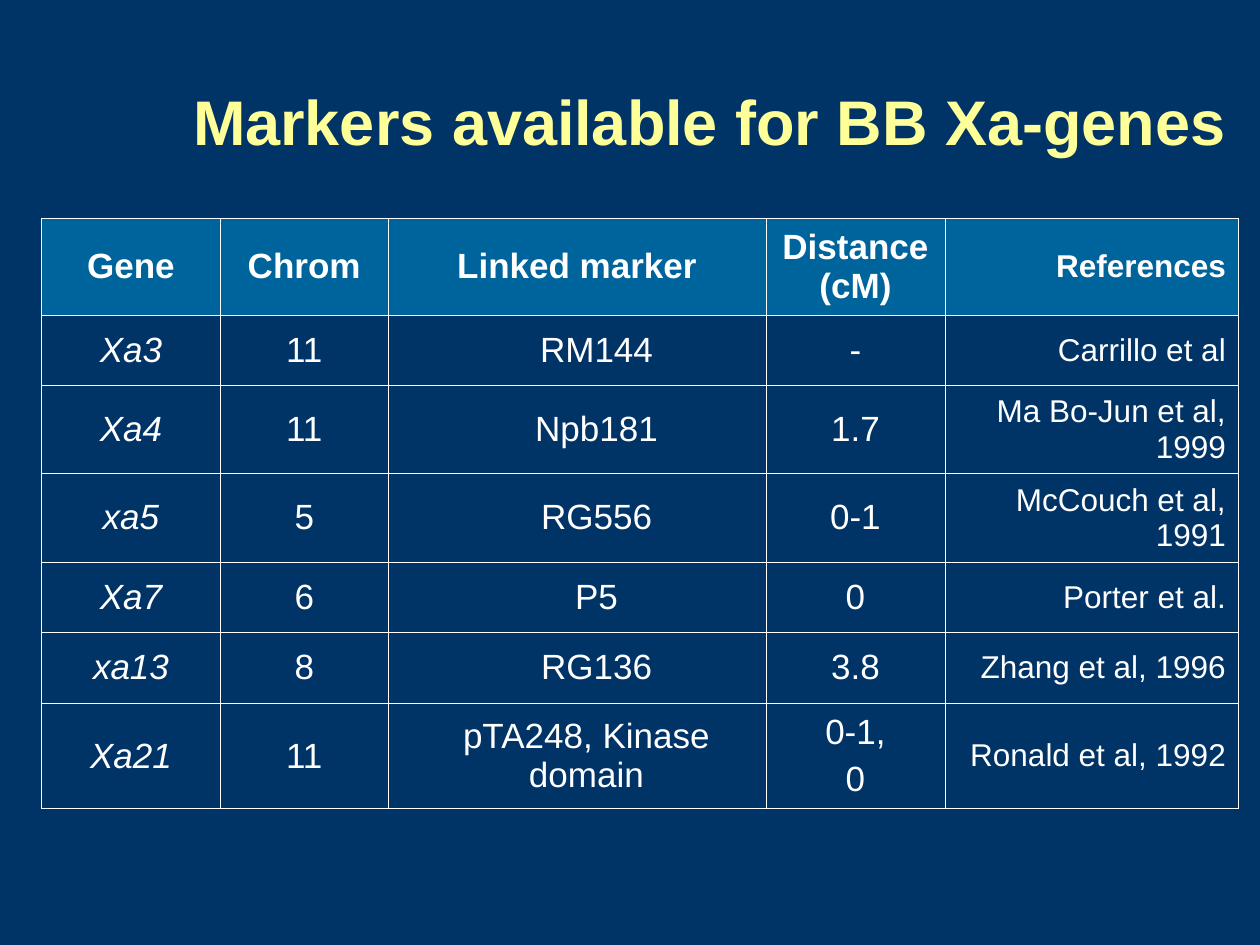
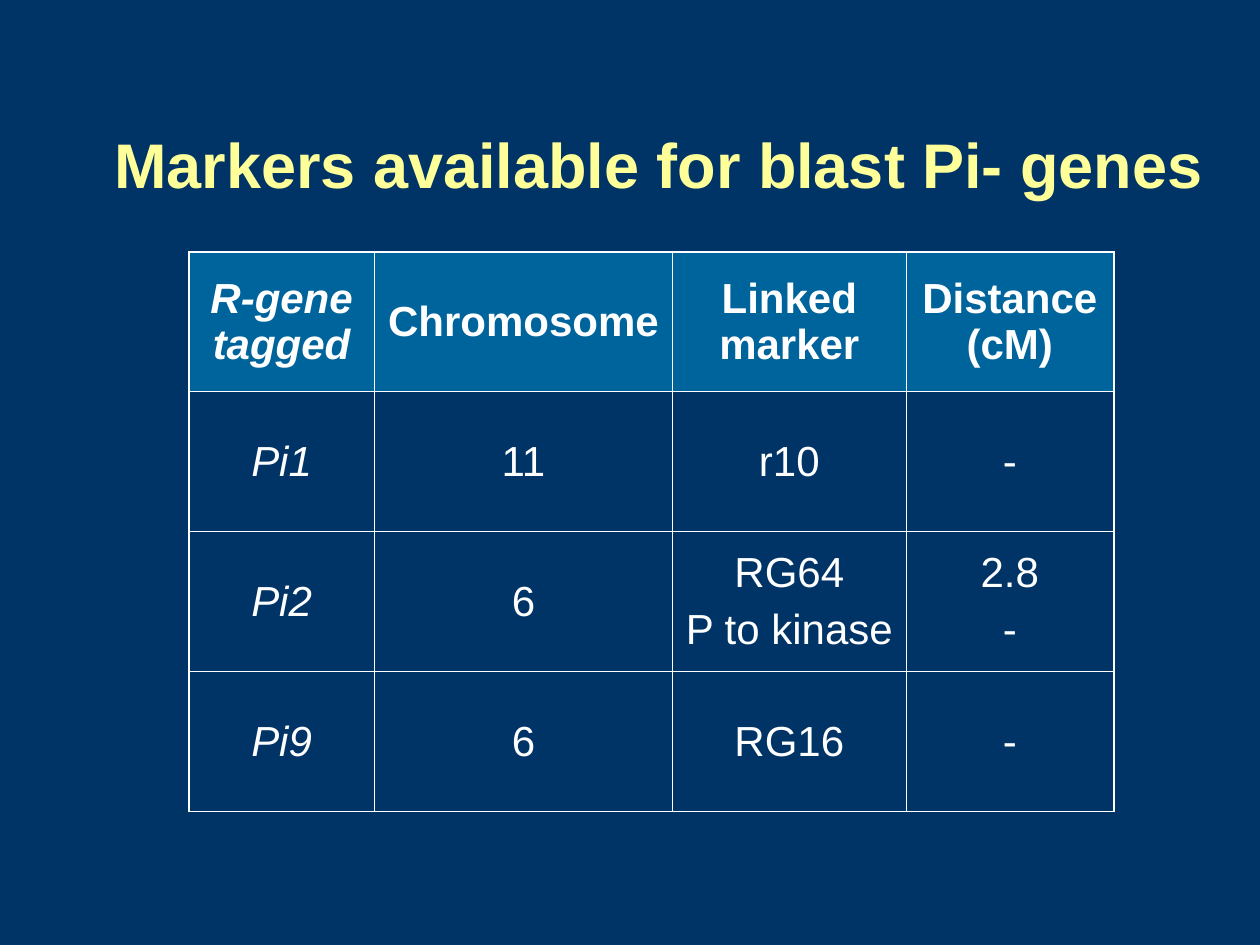
"""Build two slides of tables listing markers linked to rice resistance genes."""
from lxml.etree import SubElement
from pptx import Presentation
from pptx.dml.color import RGBColor
from pptx.enum.text import MSO_ANCHOR, MSO_AUTO_SIZE, PP_ALIGN
from pptx.oxml.ns import qn
from pptx.util import Inches, Pt

COLORS = {"background": "003366", "title": "FFFF99", "header": "00649C", "text": "FFFFFF"}
FONT = "Arial"
THIN, THICK = 0.45, 1.08

tables = [
    {
        "title": "Markers available for BB Xa-genes",
        "title_place": (1.33, 0.33, 8.5, 1.25),
        "table_place": (0.33, 1.73),
        "columns": [1.42, 1.33, 3, 1.42, 2.33],
        "row_heights": [0.77, 0.56, 0.7, 0.7, 0.56, 0.56, 0.84],
        "size": 20,
        "outline": THIN,
        "italic_header": False,
        "rows": [
            ["Gene", "Chrom", "Linked marker", "Distance (cM)", "References"],
            ["Xa3", "11", "RM144", "-", "Carrillo et al"],
            ["Xa4", "11", "Npb181", "1.7", "Ma Bo-Jun et al, 1999"],
            ["xa5", "5", "RG556", "0-1", "McCouch et al, 1991"],
            ["Xa7", "6", "P5", "0", "Porter et al."],
            ["xa13", "8", "RG136", "3.8", "Zhang et al, 1996"],
            ["Xa21", "11", "pTA248, Kinase domain", "0-1,\n0", "Ronald et al, 1992"],
        ],
        "marker_indents": [0, 0.31, 0.31, 0.31, 0.31, 0.31, 0.15],
    },
    {
        "title": "Markers available for blast Pi- genes",
        "title_place": (0.42, 0.67, 9.23, 1.25),
        "table_place": (1.5, 2),
        "columns": [1.47, 2.37, 1.85, 1.65],
        "row_heights": [1.11] * 4,
        "size": 24,
        "outline": THICK,
        "italic_header": True,
        "rows": [
            ["R-gene tagged", "Chromosome", "Linked marker", "Distance (cM)"],
            ["Pi1", "11", "r10", "-"],
            ["Pi2", "6", "RG64\nP to kinase", "2.8\n-"],
            ["Pi9", "6", "RG16", "-"],
        ],
        "marker_indents": [0] * 4,
    },
]


def format_paragraph(para, align, size, color, bold, italic=False):
    para.alignment = align
    for span in para.runs:
        span.font.name = FONT
        span.font.size = Pt(size)
        span.font.bold = bold
        span.font.italic = italic
        span.font.color.rgb = RGBColor.from_string(COLORS[color])


def add_borders(cell, widths):
    properties = cell._tc.get_or_add_tcPr()
    for side, width in widths.items():
        line = SubElement(properties, qn(f"a:ln{side}"), w=str(Pt(width)))
        fill = SubElement(line, qn("a:solidFill"))
        SubElement(fill, qn("a:srgbClr"), val=COLORS["text"])


deck = Presentation()
deck.slide_width, deck.slide_height = Inches(10), Inches(7.5)
background = deck.slide_master.background.fill
background.solid()
background.fore_color.rgb = RGBColor.from_string(COLORS["background"])

for content in tables:
    page = deck.slides.add_slide(deck.slide_layouts.get_by_name("Title Only"))

    title = page.shapes.title
    title.left, title.top, title.width, title.height = map(Inches, content["title_place"])
    title.text_frame.text = content["title"]
    title.text_frame.auto_size = MSO_AUTO_SIZE.NONE
    title.text_frame.vertical_anchor = MSO_ANCHOR.MIDDLE
    format_paragraph(title.text_frame.paragraphs[0], PP_ALIGN.RIGHT, 36, "title", True)

    rows, columns, heights = content["rows"], content["columns"], content["row_heights"]
    left, top = content["table_place"]
    table = page.shapes.add_table(
        len(rows), len(columns), Inches(left), Inches(top),
        Inches(sum(columns)), Inches(sum(heights)),
    ).table
    for column, width in zip(table.columns, columns):
        column.width = Inches(width)
    for row, height in zip(table.rows, heights):
        row.height = Inches(height)

    last_row, last_column = len(rows) - 1, len(columns) - 1
    outline = content["outline"]
    for r, texts in enumerate(rows):
        for c, text in enumerate(texts):
            cell = table.cell(r, c)
            add_borders(cell, {
                "L": outline if c == 0 else THIN,
                "R": outline if c == last_column else THIN,
                "T": outline if r == 0 else THIN,
                "B": outline if r == last_row else THIN,
            })
            if r == 0:
                cell.fill.solid()
                cell.fill.fore_color.rgb = RGBColor.from_string(COLORS["header"])
            else:
                cell.fill.background()
            cell.vertical_anchor = MSO_ANCHOR.MIDDLE
            if c == 2:
                cell.margin_left = Inches(0.1 + content["marker_indents"][r])

            is_reference = rows[0][c] == "References"
            align = PP_ALIGN.RIGHT if is_reference else PP_ALIGN.CENTER
            size = 18 if is_reference else content["size"]
            italic = c == 0 and (r > 0 or content["italic_header"])
            cell.text_frame.text = text
            for para in cell.text_frame.paragraphs:
                format_paragraph(para, align, size, "text", r == 0, italic)
            for para in cell.text_frame.paragraphs[1:]:
                para.space_before = Pt(size / 4)

deck.save("out.pptx")
